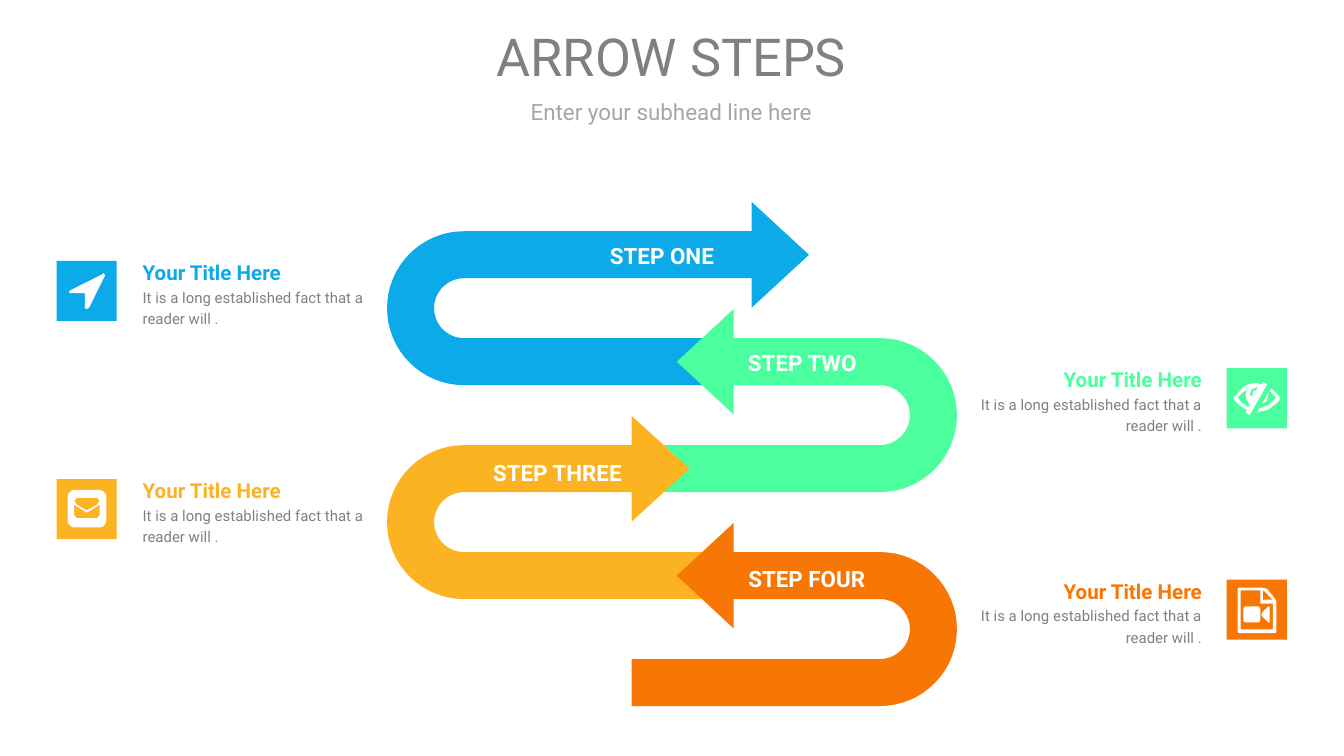
"""Build the slide of four interlocking arrow steps with captions."""
from math import cos, pi, sin

from pptx import Presentation
from pptx.dml.color import RGBColor
from pptx.enum import shapes, text
from pptx.util import Pt

BLUE = RGBColor(0x0C, 0xAA, 0xE9)
GREEN = RGBColor(0x4B, 0xFF, 0x9E)
AMBER = RGBColor(0xFB, 0xB3, 0x21)
ORANGE = RGBColor(0xF8, 0x76, 0x04)
WHITE = RGBColor(0xFF, 0xFF, 0xFF)
GRAY = RGBColor(0x80, 0x80, 0x80)
LIGHT_GRAY = RGBColor(0xA6, 0xA6, 0xA6)
FONT = "Roboto"
LEFT, RIGHT = -1, 1
ALIGN = text.PP_ALIGN


def rounded(left, top, right, bottom, radius):
    """Return the outline of a rounded rectangle."""
    corners = [(right - radius, top + radius, -pi / 2), (right - radius, bottom - radius, 0),
               (left + radius, bottom - radius, pi / 2), (left + radius, top + radius, pi)]
    return [point for x, y, start in corners
            for point in arc(x, y, radius, start, start + pi / 2, 6)]


def arc(x, y, radius, start, end, parts=32):
    """Return points along a circular arc."""
    angles = [start + (end - start) * i / parts for i in range(parts + 1)]
    return [(x + radius * cos(angle), y + radius * sin(angle)) for angle in angles]


POINTER = [[(17.3, 25.2), (15.8, 25.9), (15.1, 25.2), (15.1, 17.3), (7.2, 17.3), (6.5, 16.6),
            (7.2, 15.8), (24.5, 7.2), (25.2, 6.5), (25.9, 7.9)]]
HIDDEN_EYE = [
    [(21.6, 8.6), (13, 23.8), (12.2, 25.2), (10.1, 23.8), (10.8, 22.3), (7, 20), (4.3, 17.3),
     (3.6, 15.8), (4.3, 15.1), (9, 10), (12, 8.4), (15.8, 7.9), (18.7, 8.6), (19.4, 7.2)],
    [(12.2, 19.4), (10.6, 17), (10.1, 14.4), (10.8, 11.5), (8, 13.4), (5.8, 15.8), (8, 18.5),
     (11.5, 20.9)],
    [(15.8, 10.1), (13.2, 11.5), (12.2, 14.4), (13, 15.1), (13.7, 14.4), (14.2, 12.4),
     (15.8, 11.5), (16.6, 10.8)],
    [(28.1, 17.3), (26.6, 18.7), (22.5, 22), (15.8, 23.8), (17.3, 21.6), (22, 20), (26.6, 15.8),
     (23, 12.2), (23.8, 10.8), (28.1, 15.1), (28.4, 16)],
    [(18.7, 19.4), (22.3, 13), (22.3, 14.4), (21.3, 17.5)],
]
ENVELOPE = [
    rounded(5.8, 5.8, 26.6, 25.9, 4),
    [(10.8, 10.1), (21.6, 10.1), (23, 11.5), (21.6, 13.7), (18, 15.8), (16.2, 16.6),
     (14.4, 15.8), (10.8, 13.7), (9.4, 11.5)],
    [(9.4, 13.7), (14.4, 16.9), (16.2, 18), (18, 16.9), (23, 13.7), (23, 19.4), (21.6, 20.9),
     (10.8, 20.9), (9.4, 19.4)],
]
VIDEO_FILE = [
    [(6.5, 4.3), (18.7, 4.3), (21.6, 5), (25.2, 9.4), (26.6, 11.5), (26.6, 28.1), (25.9, 28.8),
     (6.5, 28.8), (5.8, 28.1), (5.8, 5)],
    [(7.4, 5.9), (18, 5.9), (18, 13), (24.7, 13), (24.7, 26.8), (7.4, 26.8)],
    [(19.4, 5.9), (20.4, 6.5), (24.5, 10.8), (19.4, 10.8)],
    rounded(8.9, 14.4, 18, 23, 1.5),
    [(18.7, 18), (22.3, 14.4), (23, 14.4), (23, 23), (22.3, 23), (18.7, 19.4)],
]

TITLE = "ARROW STEPS"
SUBTITLE = "Enter your subhead line here"
CAPTION = "Your Title Here"
DETAIL = "It is a long established fact that a reader will ."
STEPS = [
    dict(label="STEP ONE", color=BLUE, side=LEFT, upper=411.8, lower=393.1, base=402.7, tip=433.4,
         label_center=354.6, label_top=126, tile_top=139.8, icon=POINTER),
    dict(label="STEP TWO", color=GREEN, side=RIGHT, upper=383.8, lower=338.4, base=393.1,
         tip=362.6, label_center=429.8, label_top=183.6, tile_top=197.3, icon=HIDDEN_EYE),
    dict(label="STEP THREE", color=AMBER, side=LEFT, upper=348.5, lower=393.1, base=338.4,
         tip=369.4, label_center=298.6, label_top=242.4, tile_top=256.7, icon=ENVELOPE),
    dict(label="STEP FOUR", color=ORANGE, side=RIGHT, upper=383.8, lower=338.4, base=393.1,
         tip=362.6, label_center=432.2, label_top=299.3, tile_top=310.5, icon=VIDEO_FILE),
]
LANE_TOP, LANE_PITCH, BAND = 123.9, 57.3, 25.2
BEND_X = {LEFT: 248.6, RIGHT: 471.4}
TILE_X = {LEFT: 30.4, RIGHT: 657.2}
CAPTION_X = {LEFT: 69.3, RIGHT: 512.8}
HEAD_HALF, TILE = 28.3, 32.2
LABEL_WIDTH, LABEL_HEIGHT = 110, 21.6


def style(shape, color):
    shape.shadow.inherit = False
    shape.fill.solid()
    shape.fill.fore_color.rgb = color
    shape.line.fill.background()


def add_outline(slide, contours, color, left=0, top=0):
    placed = [[(Pt(left + x), Pt(top + y)) for x, y in contour] for contour in contours]
    builder = slide.shapes.build_freeform(*placed[0][0])
    for i, contour in enumerate(placed):
        if i:
            builder.move_to(*contour[0])
        builder.add_line_segments(contour[1:], close=True)
    style(builder.convert_to_shape(), color)


def add_text(slide, box, lines, align, inset=None, spacing=None):
    frame = slide.shapes.add_textbox(*map(Pt, box)).text_frame
    frame.text = "\n".join(line[0] for line in lines)
    frame.word_wrap = True
    frame.vertical_anchor = text.MSO_ANCHOR.MIDDLE
    if inset is not None:
        frame.margin_left = frame.margin_right = Pt(inset)
        frame.margin_top = frame.margin_bottom = Pt(inset)
    for paragraph, (_, size, color, bold) in zip(frame.paragraphs, lines):
        paragraph.alignment = align
        paragraph.line_spacing = spacing
        font = paragraph.runs[0].font
        font.name, font.size, font.bold = FONT, Pt(size), bold
        font.color.rgb = color


def add_arrow(slide, step, top):
    x, side = BEND_X[step["side"]], step["side"]
    bottom = top + LANE_PITCH + BAND
    middle = (top + bottom) / 2
    radius = (bottom - top) / 2
    start, end = -pi / 2, -pi / 2 + side * pi
    ribbon = [(step["upper"], top), *arc(x, middle, radius, start, end),
              (step["lower"], bottom), (step["lower"], bottom - BAND),
              *arc(x, middle, radius - BAND, end, start), (step["upper"], top + BAND)]
    center = top + BAND / 2
    head = [(step["base"], center - HEAD_HALF), (step["tip"], center),
            (step["base"], center + HEAD_HALF)]
    add_outline(slide, [ribbon], step["color"])
    add_outline(slide, [head], step["color"])


def add_caption(slide, step):
    side, top, color = step["side"], step["tile_top"], step["color"]
    left = TILE_X[side]
    tile = slide.shapes.add_shape(shapes.MSO_SHAPE.RECTANGLE, *map(Pt, (left, top, TILE, TILE)))
    style(tile, color)
    add_outline(slide, step["icon"], WHITE, left, top)
    add_text(slide, (CAPTION_X[side], top - 7.2, 138.2, 46.8),
             [(CAPTION, 11, color, True), (DETAIL, 8, GRAY, False)],
             ALIGN.LEFT if side == LEFT else ALIGN.RIGHT, spacing=1.2)


def main():
    presentation = Presentation()
    presentation.slide_width, presentation.slide_height = Pt(720), Pt(405)
    slide = presentation.slides.add_slide(presentation.slide_layouts[6])
    add_text(slide, (30.2, 52.9, 658.8, 13.7), [(SUBTITLE, 12, LIGHT_GRAY, False)],
             ALIGN.CENTER, inset=0)
    add_text(slide, (30.2, 10.5, 658.8, 38.9), [(TITLE, 28, GRAY, False)], ALIGN.CENTER, inset=0)
    for i, step in enumerate(STEPS):
        add_arrow(slide, step, LANE_TOP + i * LANE_PITCH)
    for step in STEPS:
        label_left = step["label_center"] - LABEL_WIDTH / 2
        add_text(slide, (label_left, step["label_top"], LABEL_WIDTH, LABEL_HEIGHT),
                 [(step["label"], 12, WHITE, True)], ALIGN.CENTER)
        add_caption(slide, step)
    presentation.save("out.pptx")


if __name__ == "__main__":
    main()
